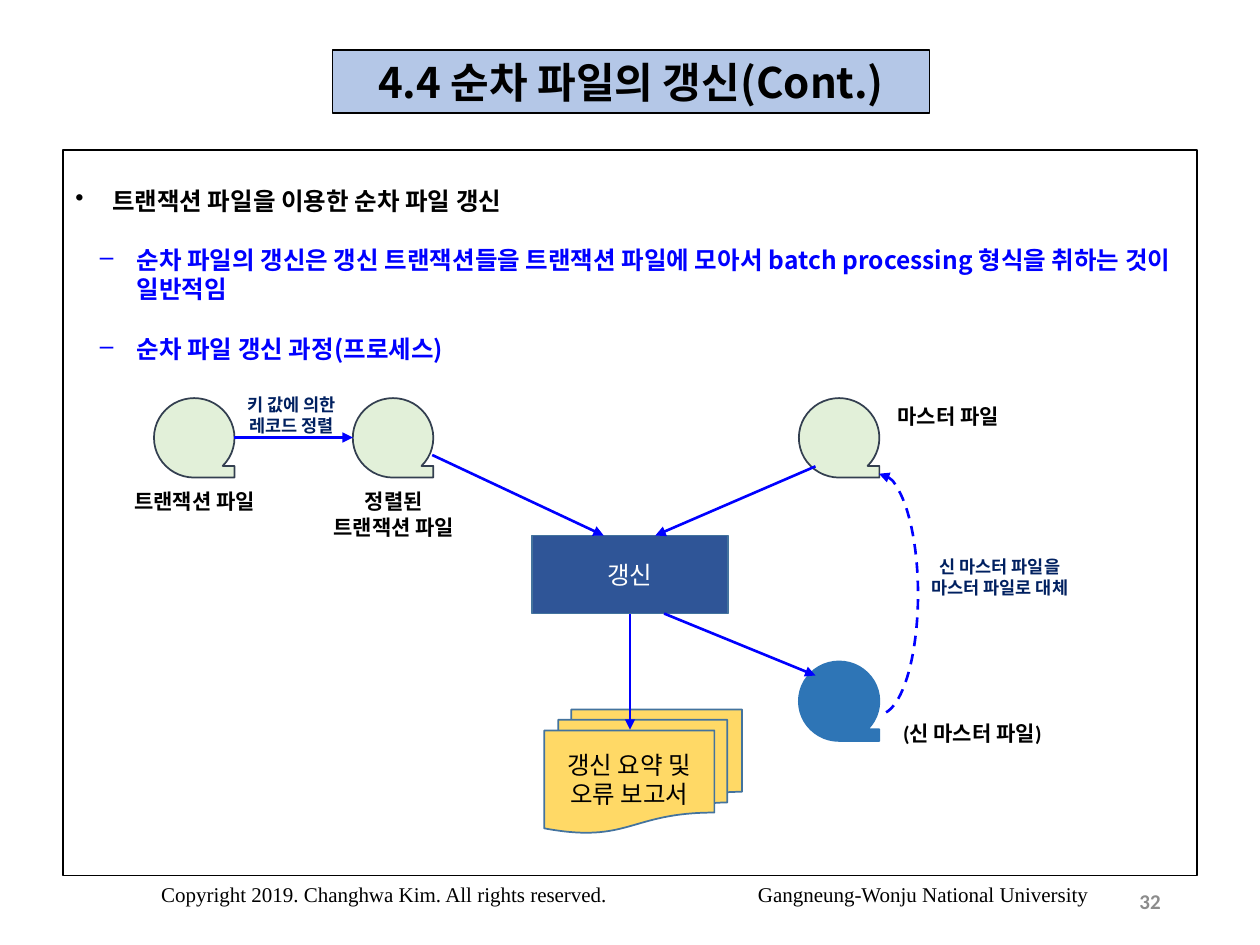
import pptx
import pptx.dml.color
import pptx.enum.dml
import pptx.enum.shapes
import pptx.enum.text
import pptx.oxml
import pptx.oxml.ns
import pptx.util

Pt = pptx.util.Pt
RGBColor = pptx.dml.color.RGBColor
SHAPE = pptx.enum.shapes.MSO_SHAPE
ALIGN = pptx.enum.text.PP_ALIGN
ANCHOR = pptx.enum.text.MSO_ANCHOR
qn = pptx.oxml.ns.qn

BLACK = RGBColor(0x00, 0x00, 0x00)
WHITE = RGBColor(0xFF, 0xFF, 0xFF)
BLUE = RGBColor(0x00, 0x00, 0xFF)
NAVY = RGBColor(0x00, 0x20, 0x60)
GREY = RGBColor(0x8C, 0x8C, 0x8C)
TITLE_FILL = RGBColor(0xB4, 0xC7, 0xE7)
TAPE_FILL = RGBColor(0xE2, 0xF0, 0xD9)
TAPE_LINE = RGBColor(0x33, 0x3F, 0x50)
NEW_TAPE = RGBColor(0x2E, 0x75, 0xB6)
BOX_FILL = RGBColor(0x2F, 0x55, 0x97)
BOX_LINE = RGBColor(0x43, 0x73, 0x9E)
REPORT_FILL = RGBColor(0xFF, 0xD9, 0x66)

KOREAN = "Noto Sans CJK KR"
BODY = "Calibri"
SERIF = "Times New Roman"


def add_element(parent, tag, **attributes):
    element = pptx.oxml.parse_xml(f"<a:{tag} {pptx.oxml.ns.nsdecls('a')}/>")
    for key, value in attributes.items():
        element.set(key, str(value))
    parent.append(element)
    return element


def format_paragraph(p, size, color, font=BODY, bold=False, align=ALIGN.CENTER):
    p.alignment = align
    p.line_spacing = Pt(round(size * 1.2, 1))
    for r in p.runs:
        r.font.size, r.font.bold, r.font.name = Pt(size), bold, font
        r.font.color.rgb = color
        add_element(r.font._element, "ea", typeface=KOREAN)


def write(sp, text, size, color, anchor=ANCHOR.TOP, wrap=True, **style):
    tf = sp.text_frame
    tf.text = text
    tf.word_wrap = wrap
    tf.vertical_anchor = anchor
    for p in tf.paragraphs:
        format_paragraph(p, size, color, **style)


def add_text(s, x, y, w, h, text, size, color, **style):
    sp = s.shapes.add_textbox(Pt(x), Pt(y), Pt(w), Pt(h))
    write(sp, text, size, color, **style)


def add_box(s, kind, x, y, w, h, fill, line, weight=1):
    sp = s.shapes.add_shape(kind, Pt(x), Pt(y), Pt(w), Pt(h))
    sp.shadow.inherit = False
    if fill is None:
        sp.fill.background()
    else:
        sp.fill.solid()
        sp.fill.fore_color.rgb = fill
    sp.line.color.rgb = line
    sp.line.width = Pt(weight)
    return sp


def add_arrow(s, x1, y1, x2, y2):
    sp = s.shapes.add_connector(pptx.enum.shapes.MSO_CONNECTOR.STRAIGHT,
                                Pt(x1), Pt(y1), Pt(x2), Pt(y2))
    sp.line.color.rgb = BLUE
    sp.line.width = Pt(1.5)
    add_element(sp.line._get_or_add_ln(), "tailEnd", type="triangle")
    add_element(sp._element.spPr, "effectLst")
    return sp


def draw_title(s, x, y, w, h):
    sp = s.shapes.title
    sp.left, sp.top, sp.width, sp.height = Pt(x), Pt(y), Pt(w), Pt(h)
    sp.fill.solid()
    sp.fill.fore_color.rgb = TITLE_FILL
    sp.line.color.rgb = BLACK
    sp.line.width = Pt(0.75)
    write(sp, "4.4 순차 파일의 갱신(Cont.)", 24, BLACK, anchor=ANCHOR.MIDDLE,
          wrap=False, font=KOREAN, bold=True)
    sp.text_frame.auto_size = pptx.enum.text.MSO_AUTO_SIZE.NONE


def draw_bullets(s, x, y, w, h):
    items = [
        ("•", 21, BLACK, "트랜잭션 파일을 이용한 순차 파일 갱신"),
        ("–", 35, BLUE, "순차 파일의 갱신은 갱신 트랜잭션들을 트랜잭션 파일에 모아서 "
                        "batch processing 형식을 취하는 것이 일반적임"),
        ("–", 35, BLUE, "순차 파일 갱신 과정(프로세스)"),
    ]
    sp = add_box(s, SHAPE.RECTANGLE, x, y, w, h, None, BLACK, 0.75)
    tf = sp.text_frame
    tf.text = "\n".join(item[-1] for item in items)
    tf.word_wrap = True
    tf.vertical_anchor = ANCHOR.TOP
    tf.margin_top = Pt(20.5)
    for i, (p, (bullet, left, color, _)) in enumerate(zip(tf.paragraphs, items)):
        pPr = p._p.get_or_add_pPr()
        pPr.set("marL", str(Pt(left)))
        pPr.set("indent", str(Pt(-21)))
        add_element(pPr, "buChar", char=bullet)
        format_paragraph(p, 14, color, font=KOREAN, bold=True, align=ALIGN.LEFT)
        if i:
            p.space_before = Pt(17)


def draw_process(s, x, y):
    # Tape files
    for dx, dy, fill, line in [
        (52, 7.5, TAPE_FILL, TAPE_LINE),
        (165.6, 7.5, TAPE_FILL, TAPE_LINE),
        (420.5, 7.5, TAPE_FILL, TAPE_LINE),
        (420.5, 158, NEW_TAPE, NEW_TAPE),
    ]:
        add_box(s, SHAPE.FLOWCHART_SEQUENTIAL_ACCESS_STORAGE,
                x + dx, y + dy, 46, 45.4, fill, line)

    # Update step and report
    update = add_box(s, SHAPE.RECTANGLE, x + 268, y + 86, 112, 44.6, BOX_FILL, BOX_LINE)
    write(update, "갱신", 14, WHITE, anchor=ANCHOR.MIDDLE)
    report = add_box(s, SHAPE.FLOWCHART_MULTIDOCUMENT, x + 275, y + 185.4, 113, 70.6,
                     REPORT_FILL, BOX_LINE)
    write(report, "갱신 요약 및\n오류 보고서", 14, BLACK, anchor=ANCHOR.MIDDLE)

    # Flow arrows
    for x1, y1, x2, y2 in [
        (97.5, 30, 165.6, 30),
        (211, 40, 309, 86),
        (430, 46.5, 338.5, 86),
        (343.5, 130.6, 430, 166),
    ]:
        add_arrow(s, x + x1, y + y1, x + x2, y + y2)
    to_report = add_arrow(s, x + 324, y + 130.6, x + 324, y + 197)
    to_report.begin_connect(update, 2)

    # Return of the new master file
    arc = add_box(s, SHAPE.ARC, x + 444, y + 50.7, 44.6, 137.5, None, BLUE, 1.5)
    arc.adjustments[0], arc.adjustments[1] = 162, 53.38
    arc.line.dash_style = pptx.enum.dml.MSO_LINE.DASH
    add_element(arc.line._get_or_add_ln(), "headEnd", type="triangle")

    # Labels
    for dx, dy, text, size, color in [
        (3.6, 55.8, "트랜잭션 파일", 12, BLACK),
        (117.4, 55.8, "정렬된\n트랜잭션 파일", 12, BLACK),
        (434.2, 6.8, "마스터 파일", 12, BLACK),
        (448, 188, "(신 마스터 파일)", 12, BLACK),
        (59, 1.8, "키 값에 의한\n레코드 정렬", 10, NAVY),
        (463.7, 94, "신 마스터 파일을\n마스터 파일로 대체", 10, NAVY),
    ]:
        height = 7.2 + 1.2 * size * (text.count("\n") + 1)
        add_text(s, x + dx, y + dy, 143.3, height, text, size, color, bold=True)


def draw_footer(s, x, y, w, h):
    sp = s.shapes.add_textbox(Pt(x), Pt(y), Pt(w), Pt(h))
    write(sp, "Copyright 2019. Changhwa Kim. All rights reserved.\t"
              "Gangneung-Wonju National University",
          12, BLACK, font=SERIF, align=ALIGN.LEFT)
    tabs = add_element(sp.text_frame.paragraphs[0]._p.get_or_add_pPr(), "tabLst")
    add_element(tabs, "tab", pos=Pt(341), algn="l")
    add_text(s, x + w - 126.7, y, 162, h, "32", 12, GREY, anchor=ANCHOR.MIDDLE,
             bold=True, align=ALIGN.RIGHT)


def main():
    prs = pptx.Presentation()
    prs.slide_width, prs.slide_height = Pt(720), Pt(540)
    s = prs.slides.add_slide(prs.slide_layouts[5])
    draw_title(s, 190, 28.6, 341, 36)
    draw_bullets(s, 36, 85.7, 648, 414.7)
    draw_process(s, 36, 220)
    draw_footer(s, 85, 500.4, 550, 28.8)
    prs.save("out.pptx")


if __name__ == "__main__":
    main()
